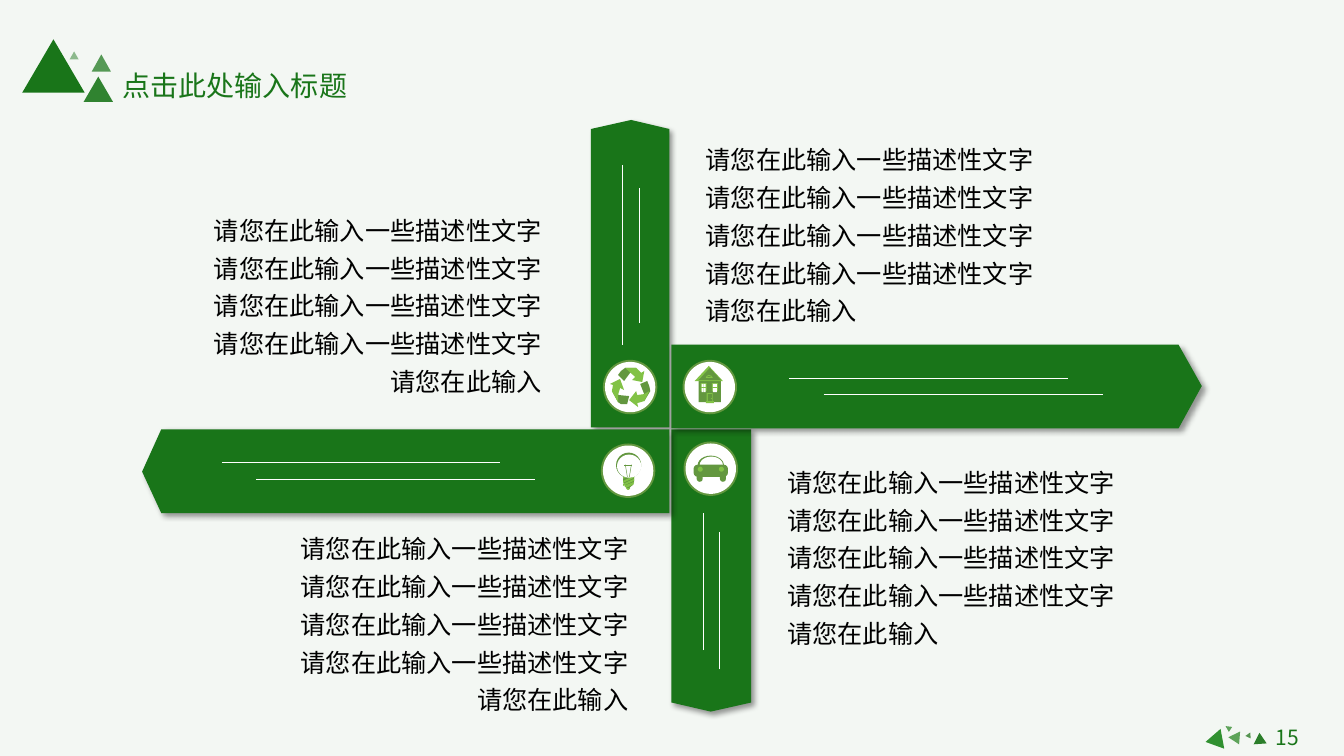
from lxml import etree
from pptx import Presentation
from pptx import util as u
from pptx.dml.color import RGBColor
from pptx.enum import shapes, text
from pptx.oxml import ns

FONT = "Noto Sans CJK SC"
GREEN, LEAF, LIME, WHITE = "197519", "63973F", "82C246", "FFFFFF"
OVAL = shapes.MSO_SHAPE.OVAL
RECT = shapes.MSO_SHAPE.RECTANGLE
ROUND = shapes.MSO_SHAPE.ROUNDED_RECTANGLE
TRIANGLE = shapes.MSO_SHAPE.ISOSCELES_TRIANGLE
LEFT, CENTER, RIGHT = text.PP_ALIGN.LEFT, text.PP_ALIGN.CENTER, text.PP_ALIGN.RIGHT
LINE, SHORT_LINE = "请您在此输入一些描述性文字", "请您在此输入"
DESCRIPTION = [LINE] * 4 + [SHORT_LINE]


def rgb(value):
    return RGBColor.from_string(value)


def sub(parent, tag, **attrs):
    """Append a DrawingML element and return it."""
    return etree.SubElement(parent, ns.qn(tag), {k: str(v) for k, v in attrs.items()})


def paint(sp, color, alpha=100):
    """Give a shape a plain fill with no line and no shadow."""
    sp.shadow.inherit = False
    sp.line.fill.background()
    sp.fill.solid()
    sp.fill.fore_color.rgb = rgb(color)
    if alpha < 100:
        sub(sp.fill._xPr.find(".//" + ns.qn("a:srgbClr")), "a:alpha", val=alpha * 1000)
    return sp


def add_preset(parent, kind, box, color, alpha=100, rotation=0, adj=None):
    sp = parent.shapes.add_shape(kind, *[u.Inches(v) for v in box])
    sp.rotation = rotation
    if adj is not None:
        sp.adjustments[0] = adj
    return paint(sp, color, alpha)


def add_polygon(parent, points, color):
    pts = [(u.Inches(x), u.Inches(y)) for x, y in points]
    builder = parent.shapes.build_freeform(*pts[0])
    builder.add_line_segments(pts[1:], close=True)
    return paint(builder.convert_to_shape(), color)


def add_line(parent, x1, y1, x2, y2):
    line = parent.shapes.add_connector(
        shapes.MSO_CONNECTOR.STRAIGHT, *[u.Inches(v) for v in (x1, y1, x2, y2)])
    line.line.color.rgb = rgb(WHITE)
    line.line.width = u.Pt(0.5)
    sub(line._element.spPr, "a:effectLst")


def write(sp, lines, size, color, align=LEFT, spacing=None, wrap=True,
          anchor=text.MSO_ANCHOR.TOP):
    tf = sp.text_frame
    tf.word_wrap = wrap
    tf.vertical_anchor = anchor
    tf.auto_size = text.MSO_AUTO_SIZE.SHAPE_TO_FIT_TEXT
    for i, line in enumerate(lines):
        p = tf.add_paragraph() if i else tf.paragraphs[0]
        p.alignment = align
        p.line_spacing = spacing
        r = p.add_run()
        r.text = line
        r.font.size = u.Pt(size)
        r.font.color.rgb = rgb(color)
        r.font.name = FONT
        sub(r._r.get_or_add_rPr(), "a:ea", typeface=FONT)


def add_text(slide, box, lines, **fmt):
    write(slide.shapes.add_textbox(*[u.Inches(v) for v in box]), lines, **fmt)


def add_arrow(slide, outline, lines):
    """One blade of the pinwheel: shadowed outline with two thin lines."""
    group = slide.shapes.add_group_shape()
    sp = add_polygon(group, outline, GREEN)
    shadow = sub(sp._element.spPr.find(ns.qn("a:effectLst")), "a:outerShdw",
                 blurRad=u.Pt(4), dist=u.Pt(3), dir=45 * 60000, algn="tl", rotWithShape=0)
    sub(sub(shadow, "a:srgbClr", val="000000"), "a:alpha", val=40000)
    for ends in lines:
        add_line(group, *ends)


def add_badge(slide, x, y):
    """Ringed white disc; returns its group for the icon."""
    group = slide.shapes.add_group_shape()
    add_preset(group, OVAL, (x, y, 0.54, 0.54), LEAF)
    add_preset(group, OVAL, (x + 0.02, y + 0.02, 0.5, 0.5), WHITE)
    return group


def add_bulb(slide):
    g = add_badge(slide, 5.96, 4.4)
    add_preset(g, OVAL, (6.21, 4.82, 0.04, 0.04), LIME)
    add_polygon(g, [(6.18, 4.68), (6.29, 4.68), (6.29, 4.77), (6.28, 4.81), (6.24, 4.84),
                    (6.22, 4.84), (6.19, 4.81), (6.18, 4.77)], LEAF)
    for y in (4.68, 4.72, 4.75):
        add_polygon(g, [(6.18, y + 0.07), (6.29, y + 0.02), (6.29, y), (6.18, y + 0.05)], LIME)
    add_polygon(g, [(6.21, 4.84), (6.28, 4.81), (6.29, 4.78), (6.19, 4.82)], LIME)
    add_preset(g, OVAL, (6.11, 4.49, 0.25, 0.25), LEAF)
    add_preset(g, OVAL, (6.12, 4.51, 0.24, 0.23), WHITE)
    for top, foot in ((6.2, 6.22), (6.26, 6.24)):
        add_polygon(g, [(top, 4.61), (top + 0.005, 4.61), (foot + 0.005, 4.73), (foot, 4.73)], LEAF)
    add_polygon(g, [(6.19, 4.61), (6.27, 4.61), (6.27, 4.615), (6.19, 4.615)], LEAF)


def add_recycling(slide):
    g = add_badge(slide, 5.98, 3.57)
    folds = [
        ([(6.2, 3.65), (6.16, 3.68), (6.13, 3.72), (6.19, 3.78), (6.25, 3.7), (6.31, 3.65)],
         [(6.39, 3.68), (6.37, 3.79), (6.27, 3.77), (6.3, 3.74), (6.2, 3.65), (6.31, 3.65),
          (6.36, 3.7)]),
        ([(6.13, 3.99), (6.16, 4.01), (6.22, 4.01), (6.24, 3.93), (6.14, 3.92), (6.07, 3.88)],
         [(6.05, 3.81), (6.15, 3.76), (6.19, 3.87), (6.15, 3.85), (6.13, 3.92), (6.13, 3.99),
          (6.07, 3.88), (6.08, 3.82)]),
        ([(6.45, 3.88), (6.44, 3.83), (6.42, 3.78), (6.35, 3.81), (6.39, 3.91), (6.39, 3.98)],
         [(6.33, 4.04), (6.24, 3.97), (6.31, 3.88), (6.32, 3.92), (6.39, 3.91), (6.44, 3.88),
          (6.39, 3.98), (6.32, 4)]),
    ]
    for dark, light in folds:
        add_polygon(g, dark, LEAF)
        add_polygon(g, light, LIME)


def add_house(slide):
    g = add_badge(slide, 6.77, 3.57)
    add_preset(g, RECT, (6.93, 3.77, 0.22, 0.22), LEAF)
    for x in (6.95, 7.06):
        add_preset(g, RECT, (x, 3.8, 0.06, 0.08), LIME)
        for dx in (0.01, 0.03):
            for y, h in ((3.81, 0.03), (3.85, 0.04)):
                add_preset(g, RECT, (x + dx, y, 0.02, h), WHITE)
    add_preset(g, RECT, (7.01, 3.9, 0.06, 0.08), LIME)
    add_preset(g, RECT, (7.02, 3.91, 0.04, 0.07), LEAF)
    add_preset(g, RECT, (7, 3.98, 0.08, 0.02), LIME)
    add_preset(g, OVAL, (7.05, 3.95, 0.01, 0.01), LIME)
    add_preset(g, TRIANGLE, (6.89, 3.63, 0.28, 0.15), LIME)
    add_preset(g, TRIANGLE, (6.93, 3.65, 0.22, 0.12), LEAF)
    add_polygon(g, [(7, 3.75), (7.01, 3.73), (7.03, 3.72), (7.06, 3.73), (7.07, 3.75)], LIME)
    add_polygon(g, [(7.01, 3.74), (7.03, 3.73), (7.06, 3.74)], LEAF)


def add_car(slide):
    g = add_badge(slide, 6.78, 4.38)
    add_preset(g, OVAL, (6.92, 4.52, 0.26, 0.19), LEAF)
    add_preset(g, OVAL, (6.94, 4.53, 0.23, 0.17), WHITE)
    for x in (6.91, 7.14):
        add_preset(g, ROUND, (x, 4.65, 0.06, 0.13), LEAF, adj=0.5)
    add_preset(g, ROUND, (6.88, 4.61, 0.34, 0.12), LEAF, adj=0.33)
    for x in (6.92, 7.13):
        add_preset(g, OVAL, (x, 4.63, 0.05, 0.05), LIME)


def main():
    prs = Presentation()
    prs.slide_width, prs.slide_height = u.Inches(13.33), u.Inches(7.5)
    slide = prs.slides.add_slide(prs.slide_layouts[5])
    slide.background.fill.solid()
    slide.background.fill.fore_color.rgb = rgb("F3F7F3")

    title = slide.shapes.title
    title.left, title.top, title.width, title.height = [
        u.Inches(v) for v in (1.11, 0.63, 2.44, 0.44)]
    write(title, ["点击此处输入标题"], size=20, color=GREEN, align=CENTER, wrap=False,
          anchor=text.MSO_ANCHOR.MIDDLE)

    add_arrow(slide, [(6.64, 4.24), (5.86, 4.24), (5.86, 1.28), (6.26, 1.19), (6.64, 1.28)],
              [(6.34, 3.2, 6.34, 1.87), (6.17, 3.42, 6.17, 1.64)])
    add_arrow(slide, [(7.45, 6.97), (7.05, 7.06), (6.66, 6.97), (6.66, 4.26), (7.45, 4.26)],
              [(7.13, 6.64, 7.13, 5.28), (6.98, 6.45, 6.98, 5.09)])
    add_arrow(slide, [(11.69, 4.25), (6.66, 4.25), (6.66, 3.42), (11.69, 3.42), (11.92, 3.83)],
              [(8.17, 3.91, 10.94, 3.91), (7.83, 3.75, 10.59, 3.75)])
    add_arrow(slide, [(6.64, 5.09), (1.6, 5.09), (1.41, 4.68), (1.6, 4.26), (6.64, 4.26)],
              [(2.54, 4.76, 5.31, 4.76), (2.2, 4.59, 4.96, 4.59)])
    for add_icon in (add_bulb, add_recycling, add_house, add_car):
        add_icon(slide)

    for x, y, align in ((1.82, 2.01, RIGHT), (6.9, 1.31, LEFT),
                        (7.71, 4.51, LEFT), (2.68, 5.17, RIGHT)):
        add_text(slide, (x, y, 3.65, 1.99), DESCRIPTION, size=18, color="000000",
                 align=align, spacing=1.25)
    add_text(slide, (12.43, 7.14, 0.68, 0.35), ["15"], size=15, color=GREEN, align=CENTER)

    for box, color, rotation in (((12.2, 7.28, 0.13, 0.11), "5EA45A", 153.9),
                                 ((11.94, 7.26, 0.2, 0.17), "309030", 259.5),
                                 ((12.43, 7.27, 0.13, 0.11), "2B7E2A", 356.2),
                                 ((12.15, 7.19, 0.06, 0.06), "5EA45A", 303.5),
                                 ((12.36, 7.28, 0.06, 0.05), "559551", 145.8)):
        add_preset(slide, TRIANGLE, box, color, rotation=rotation)
    for box, alpha in (((0.22, 0.39, 0.62, 0.53), 100), ((0.83, 0.76, 0.29, 0.25), 89),
                       ((0.69, 0.51, 0.09, 0.08), 47), ((0.91, 0.54, 0.19, 0.17), 72)):
        add_preset(slide, TRIANGLE, box, GREEN, alpha=alpha)

    prs.save("out.pptx")


if __name__ == "__main__":
    main()
